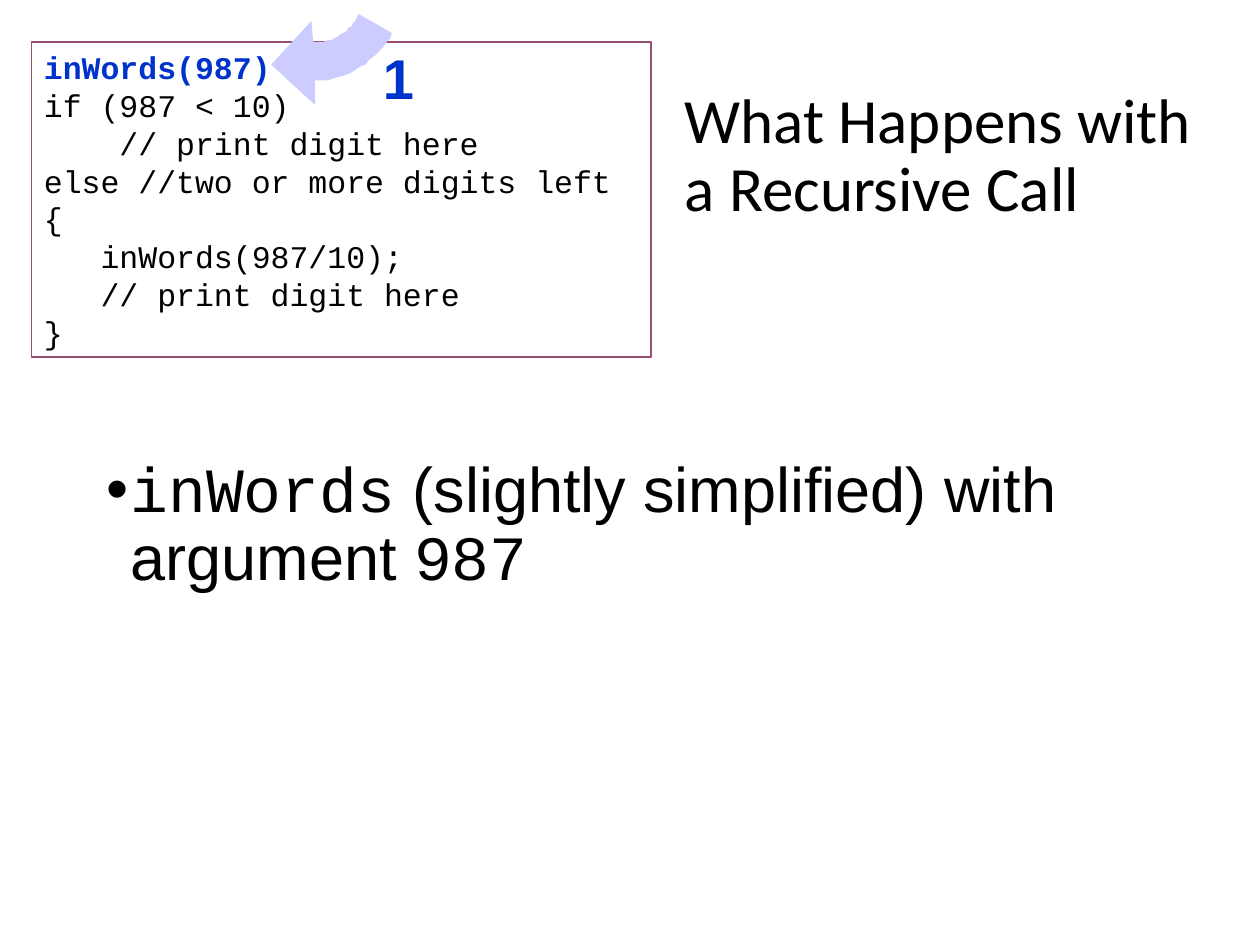
from lxml.etree import SubElement
from pptx import Presentation
from pptx.dml.color import RGBColor
from pptx.enum.shapes import MSO_SHAPE as Shape
from pptx.enum.text import MSO_ANCHOR as Anchor, MSO_AUTO_SIZE as AutoSize, PP_ALIGN as Align
from pptx.oxml.ns import qn
from pptx.util import Pt

BLACK = RGBColor(0x00, 0x00, 0x00)
WHITE = RGBColor(0xFF, 0xFF, 0xFF)
BLUE = RGBColor(0x00, 0x33, 0xCC)
PLUM = RGBColor(0x95, 0x4F, 0x72)
LAVENDER = RGBColor(0xCC, 0xCC, 0xFF)
MONO, SANS, HEADING = "Courier New", "Arial", "Calibri"

CODE = """inWords(987)
if (987 < 10)
    // print digit here
else //two or more digits left
{
   inWords(987/10);
   // print digit here
}"""


def place(shape, left, top, width, height):
    shape.left, shape.top = Pt(left), Pt(top)
    shape.width, shape.height = Pt(width), Pt(height)


def prepare_frame(shape, anchor=Anchor.TOP, inset_top=3.6):
    frame = shape.text_frame
    frame.word_wrap = True
    frame.auto_size = AutoSize.NONE
    frame.vertical_anchor = anchor
    frame.margin_top = Pt(inset_top)
    return frame


def add_run(paragraph, text, font=SANS, size=36, color=BLACK, bold=False):
    run = paragraph.add_run()
    run.text = text
    run.font.name, run.font.size, run.font.bold = font, Pt(size), bold
    run.font.color.rgb = color


def add_bullet(paragraph, indent):
    properties = paragraph._p.get_or_add_pPr()
    properties.set("marL", str(Pt(indent)))
    properties.set("indent", str(-Pt(indent)))
    SubElement(properties, qn("a:buFont"), typeface=SANS)
    SubElement(properties, qn("a:buChar"), char="•")


def add_title(slide):
    title = slide.shapes.title
    place(title, 384, 48, 312, 84)
    title.fill.solid()
    title.fill.fore_color.rgb = WHITE
    heading = prepare_frame(title, Anchor.MIDDLE).paragraphs[0]
    heading.alignment, heading.line_spacing = Align.LEFT, 0.9
    add_run(heading, "What Happens with a Recursive Call", font=HEADING)


def add_explanation(slide):
    body = slide.shapes.add_textbox(Pt(54), Pt(222), Pt(612), Pt(282))
    point = prepare_frame(body, inset_top=40).paragraphs[0]
    add_bullet(point, 13.5)
    point.line_spacing = 0.9
    add_run(point, "inWords", font=MONO)
    add_run(point, " (slightly simplified) with argument ")
    add_run(point, "987", font=MONO)


def add_code(slide):
    box = slide.shapes.add_shape(Shape.RECTANGLE, Pt(18), Pt(24), Pt(354), Pt(180))
    box.shadow.inherit = False
    box.fill.solid()
    box.fill.fore_color.rgb = WHITE
    box.line.color.rgb, box.line.width = PLUM, Pt(1)
    frame = prepare_frame(box)
    for number, code_line in enumerate(CODE.splitlines()):
        current = number == 0
        paragraph = frame.paragraphs[0] if current else frame.add_paragraph()
        paragraph.alignment, paragraph.line_spacing = Align.LEFT, Pt(21.6)
        add_run(paragraph, code_line, font=MONO, size=18,
                color=BLUE if current else BLACK, bold=current)


def add_step_number(slide, number):
    label = slide.shapes.add_textbox(Pt(211.7), Pt(18), Pt(36), Pt(46))
    add_run(prepare_frame(label, inset_top=6.6).paragraphs[0], number,
            size=32, color=BLUE, bold=True)


def curve(start, control_1, control_2, end, steps=16):
    """Points along a cubic Bezier curve, both ends included."""
    for step in range(steps + 1):
        t = step / steps
        u = 1 - t
        yield tuple(u**3 * a + 3 * u * u * t * b + 3 * u * t * t * c + t**3 * d
                    for a, b, c, d in zip(start, control_1, control_2, end))


def add_call_arrow(slide):
    inner = curve((178.9, 24.4), (190.1, 24.4), (200.2, 18.1), (205.4, 8))
    outer = curve((224.4, 18.6), (215.5, 35), (198.7, 45.8), (180.1, 46.4))
    head = [(180.5, 59.6), (154.9, 36.8), (178, 11.5)]
    first, *rest = [*inner, *outer, *head]
    builder = slide.shapes.build_freeform(*first, scale=Pt(1))
    builder.add_line_segments(rest, close=True)
    arrow = builder.convert_to_shape()
    arrow.shadow.inherit = False
    arrow.fill.solid()
    arrow.fill.fore_color.rgb = LAVENDER
    arrow.line.fill.background()


def main():
    deck = Presentation()
    deck.slide_width, deck.slide_height = Pt(720), Pt(540)
    slide = deck.slides.add_slide(deck.slide_layouts.get_by_name("Title Only"))
    add_title(slide)
    add_explanation(slide)
    add_code(slide)
    add_step_number(slide, "1")
    add_call_arrow(slide)
    deck.save("out.pptx")


if __name__ == "__main__":
    main()
